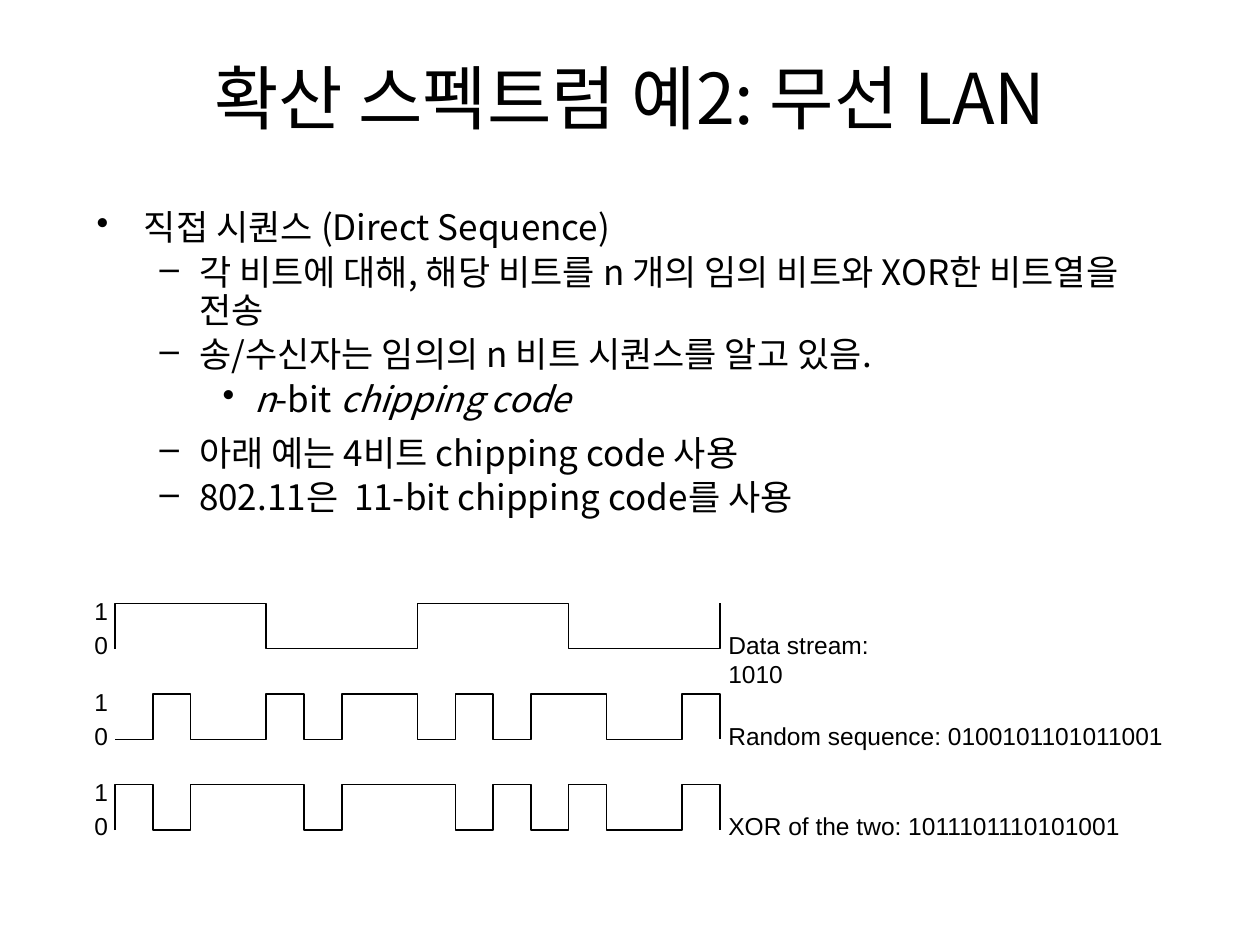
import pptx
import pptx.dml.color
import pptx.enum.text
import pptx.oxml
import pptx.oxml.ns
import pptx.util
from lxml import etree

Pt = pptx.util.Pt
KOREAN, LATIN, BLACK = "Noto Sans CJK KR", "Arial", "000000"

TITLE = "확산 스펙트럼 예2: 무선 LAN"
# level, line spacing, runs of (text, italic)
BULLETS = [
    (0, 0.9, [("직접 시퀀스 (Direct Sequence)", False)]),
    (1, 0.9, [("각 비트에 대해, 해당 비트를 n 개의 임의 비트와 XOR한 비트열을 전송", False)]),
    (1, 0.9, [("송/수신자는 임의의 n 비트 시퀀스를 알고 있음.", False)]),
    (2, 0.9, [("n", True), ("-bit ", False), ("chipping code", True)]),
    (1, 1.1, [("아래 예는 4비트 chipping code 사용", False)]),
    (1, 0.9, [("802.11은  11-bit chipping code를 사용", False)]),
]
LEVELS = [(27, -27, "•"), (58.5, -22.5, "–"), (90, -18, "•")]  # margin, indent, mark
# label, bits, label width, label wraps
SIGNALS = [
    ("Data stream: ", "1010", 113, True),
    ("Random sequence: ", "0100101101011001", 249, False),
    ("XOR of the two: ", "1011101110101001", 227, False),
]
WAVE_LEFT, WAVE_TOP, WAVE_WIDTH, WAVE_HEIGHT = 65.8, 344.8, 345.6, 25.9
ROW_PITCH = 51.8
DIGIT_LEFT, LABEL_LEFT = 54, 416.2
ONE_OFFSET, ZERO_OFFSET = -4.2, 15.2  # digit tops, from the top of the wave


def color(hex_string):
    return pptx.dml.color.RGBColor.from_string(hex_string)


def set_font(font, name, size):
    font.name, font.size = name, Pt(size)
    font.color.rgb = color(BLACK)
    east_asian = etree.SubElement(font._element, pptx.oxml.ns.qn("a:ea"))
    east_asian.set("typeface", name)


def add_text_frame(slide, left, top, width, height, wrap=True):
    frame = slide.shapes.add_textbox(Pt(left), Pt(top), Pt(width), Pt(height)).text_frame
    frame.word_wrap = wrap
    return frame


def add_title(slide):
    frame = add_text_frame(slide, 54, 33.8, 612, 43.2)
    frame.vertical_anchor = pptx.enum.text.MSO_ANCHOR.MIDDLE
    title = frame.paragraphs[0]
    title.text = TITLE
    title.alignment = pptx.enum.text.PP_ALIGN.CENTER
    set_font(title.font, KOREAN, 40)


def add_bullets(slide):
    frame = add_text_frame(slide, 48.2, 116.6, 612, 383.8)
    for index, (level, spacing, runs) in enumerate(BULLETS):
        item = frame.add_paragraph() if index else frame.paragraphs[0]
        item.level, item.line_spacing, item.space_before = level, spacing, Pt(4)
        for text, italic in runs:
            run = item.add_run()
            run.text = text
            if italic:
                run.font.italic = True
        set_font(item.font, KOREAN, 20)
        margin, indent, mark = LEVELS[level]
        properties = item._p.get_or_add_pPr()
        properties.set("marL", str(Pt(margin)))
        properties.set("indent", str(Pt(indent)))
        bullet = pptx.oxml.parse_xml(
            f'<a:buChar {pptx.oxml.ns.nsdecls("a")} char="{mark}"/>')
        properties.find(pptx.oxml.ns.qn("a:defRPr")).addprevious(bullet)


def add_label(slide, text, left, top, width, wrap=False):
    frame = add_text_frame(slide, left, top, width, 16.6, wrap)
    frame.margin_left = frame.margin_right = frame.margin_top = frame.margin_bottom = 0
    frame.text = text
    set_font(frame.paragraphs[0].font, LATIN, 14)


def add_wave(slide, bits, top):
    """Draw bits as a square wave that starts low and ends on an edge."""
    height = {"1": top, "0": top + WAVE_HEIGHT}
    chip = WAVE_WIDTH / len(bits)
    points = [(WAVE_LEFT, height["0"])]
    level = "0"
    after_last = "0" if bits[-1] == "1" else "1"
    for index, bit in enumerate(bits + after_last):
        if bit != level:
            x = WAVE_LEFT + index * chip
            points += [(x, height[level]), (x, height[bit])]
            level = bit
    corners = [(Pt(x), Pt(y)) for x, y in points]
    builder = slide.shapes.build_freeform(*corners[0])
    builder.add_line_segments(corners[1:], close=False)
    wave = builder.convert_to_shape()
    wave.shadow.inherit = False
    wave.fill.background()
    wave.line.color.rgb = color(BLACK)
    wave.line.width = Pt(0.88)


def main():
    deck = pptx.Presentation()
    deck.slide_width, deck.slide_height = Pt(720), Pt(540)
    slide = deck.slides.add_slide(deck.slide_layouts[6])
    add_title(slide)
    add_bullets(slide)
    for row, (label, bits, width, wrap) in enumerate(SIGNALS):
        top = WAVE_TOP + row * ROW_PITCH
        add_wave(slide, bits, top)
        add_label(slide, label + bits, LABEL_LEFT, top + ZERO_OFFSET, width, wrap)
        add_label(slide, "1", DIGIT_LEFT, top + ONE_OFFSET, 8)
        add_label(slide, "0", DIGIT_LEFT, top + ZERO_OFFSET, 8)
    deck.save("out.pptx")


if __name__ == "__main__":
    main()
